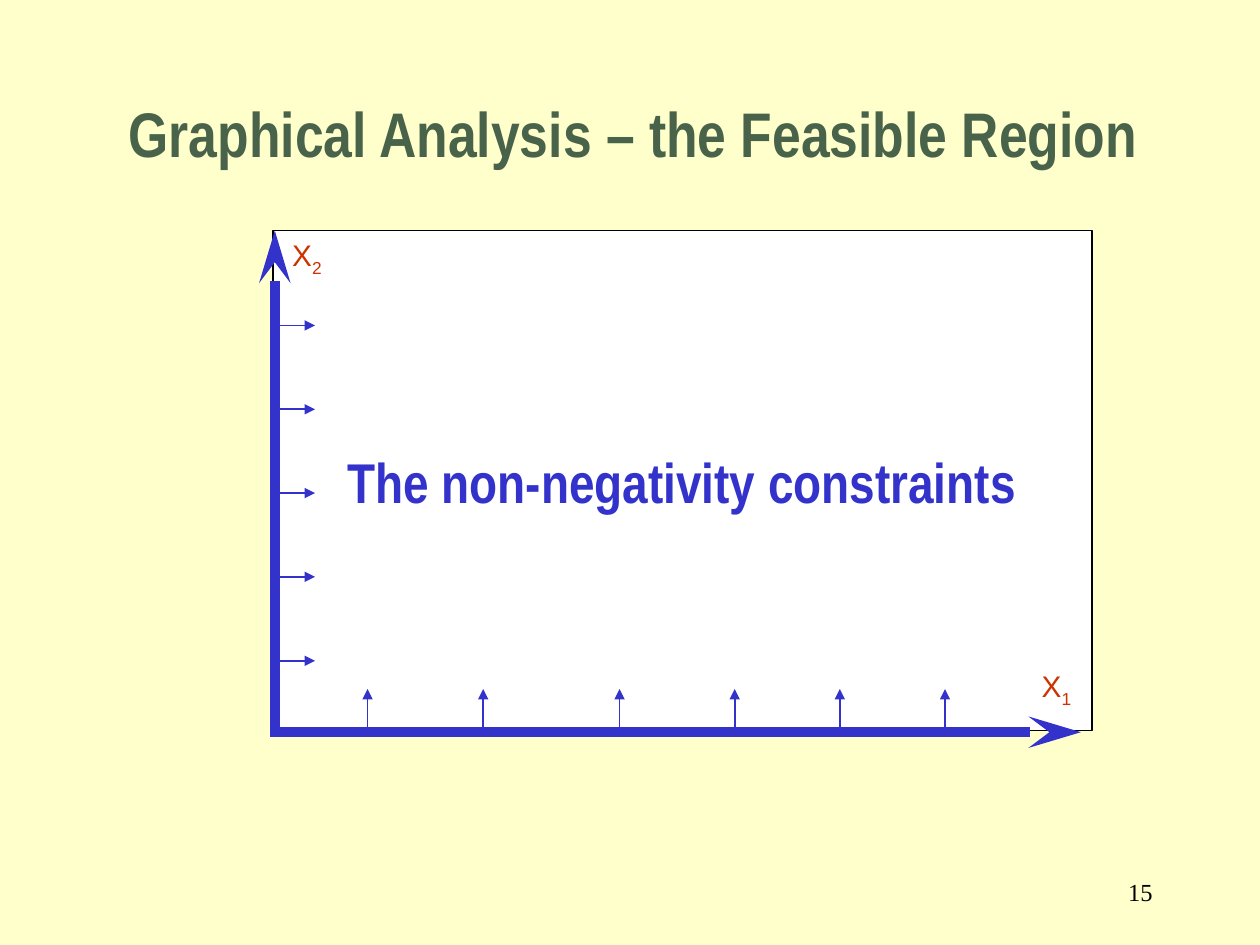
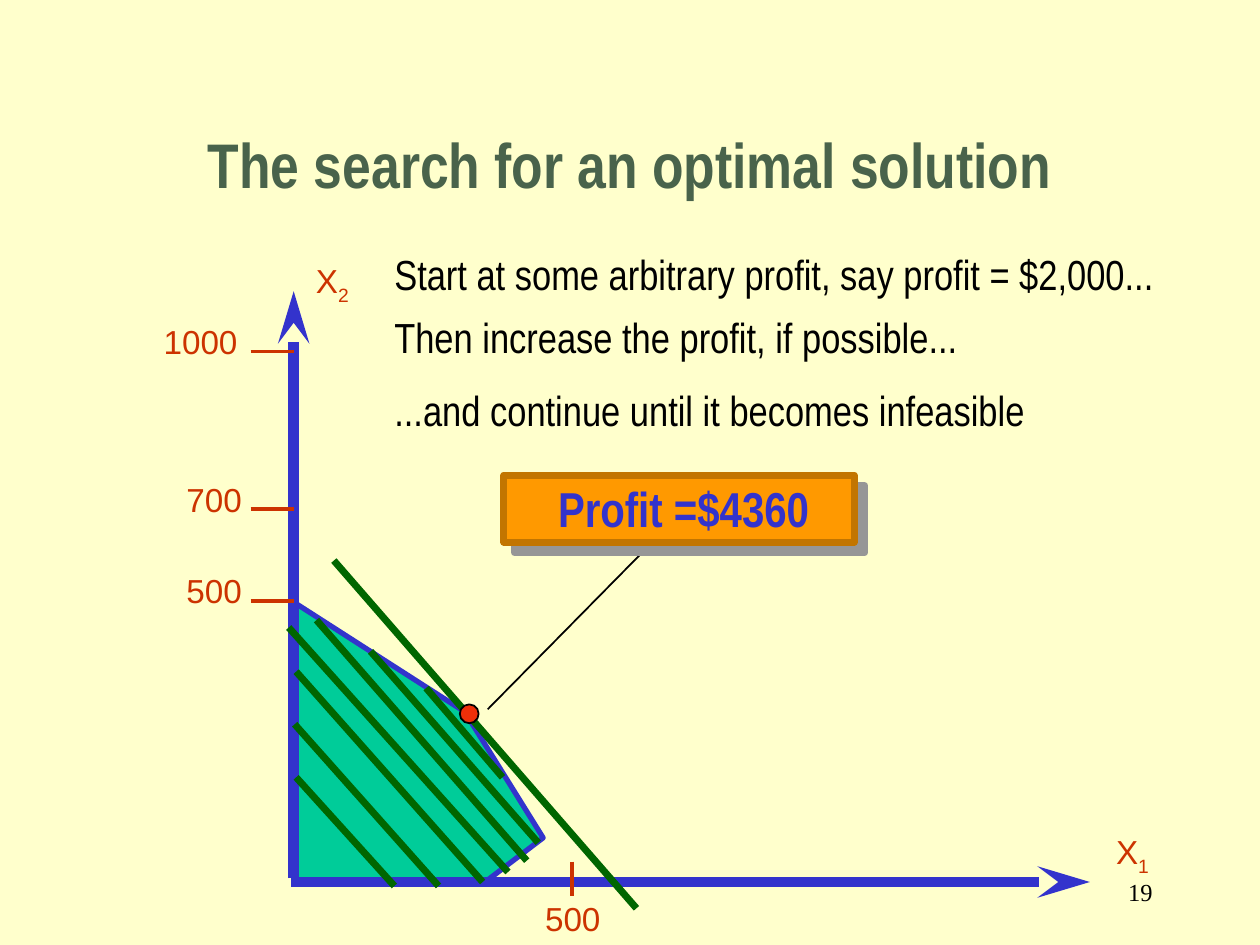
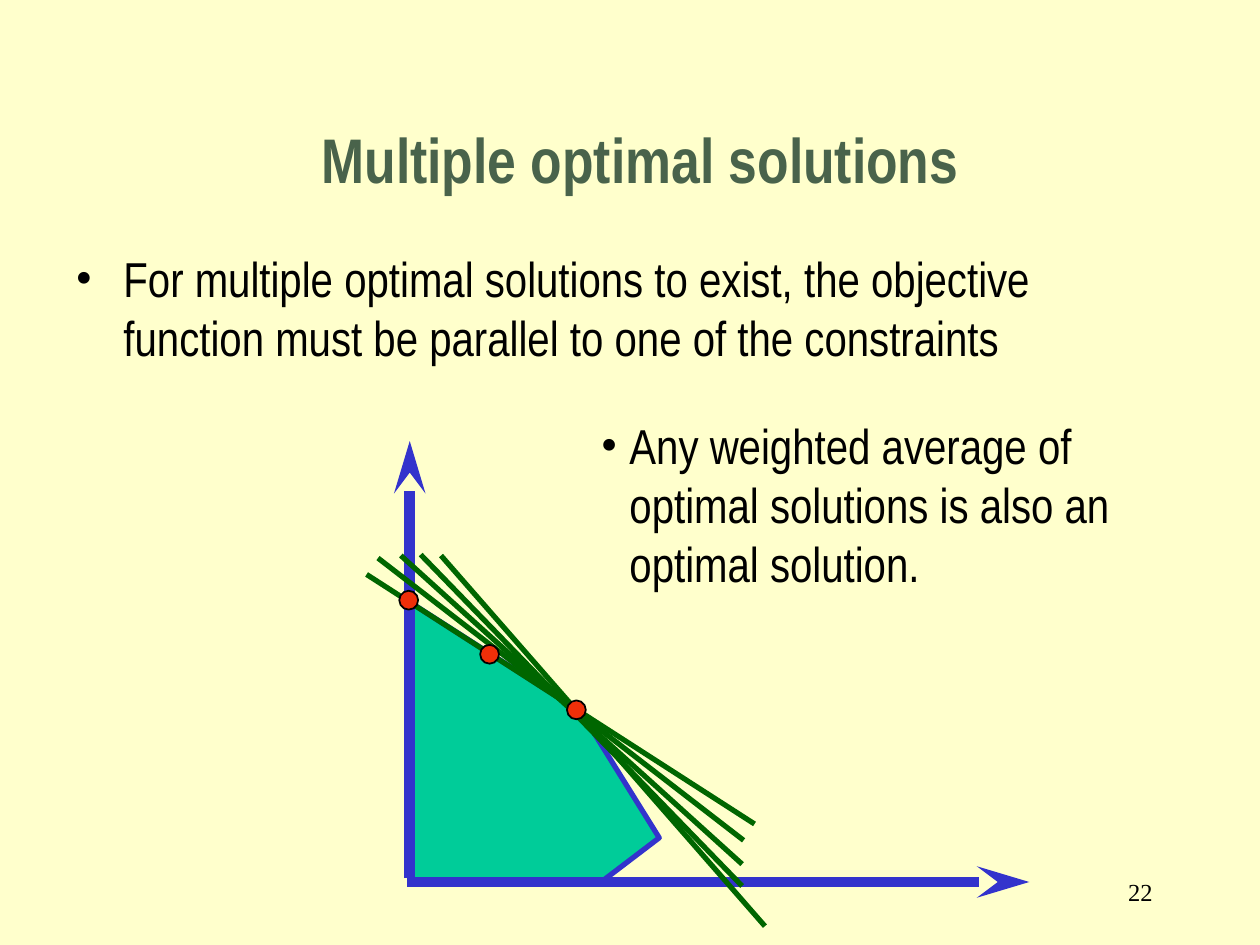
from lxml import etree
from pptx import Presentation
from pptx.dml.color import RGBColor
from pptx.enum.shapes import MSO_CONNECTOR, MSO_SHAPE
from pptx.enum.text import MSO_ANCHOR, MSO_AUTO_SIZE, PP_ALIGN
from pptx.oxml.ns import qn
from pptx.util import Cm, Pt

STRAIGHT = MSO_CONNECTOR.STRAIGHT
RECTANGLE, OVAL = MSO_SHAPE.RECTANGLE, MSO_SHAPE.OVAL
MIDDLE, FIXED = MSO_ANCHOR.MIDDLE, MSO_AUTO_SIZE.NONE
LEFT, CENTER, RIGHT = PP_ALIGN.LEFT, PP_ALIGN.CENTER, PP_ALIGN.RIGHT

rgb = RGBColor.from_string
CREAM, WHITE, BLACK = "FFFFCC", "FFFFFF", "000000"
TITLE_GREEN, AXIS_BLUE, LABEL_RED = "49634B", "3333CC", "CC3300"
REGION_GREEN, PROFIT_GREEN, OPTIMUM_RED = "00CC99", "006600", "EF2F09"
CALLOUT_ORANGE, CALLOUT_EDGE, SHADOW_GREY = "FF9900", "C27500", "969696"


def draw_line(slide, x1, y1, x2, y2, colour, width, arrow=None, arrow_length="med"):
    line = slide.shapes.add_connector(STRAIGHT, Cm(x1), Cm(y1), Cm(x2), Cm(y2))
    line.line.color.rgb = rgb(colour)
    line.line.width = Pt(width)
    if arrow:
        etree.SubElement(line.line._get_or_add_ln(), qn("a:tailEnd"),
                         type=arrow, w="med", len=arrow_length)
    etree.SubElement(line._element.spPr, qn("a:effectLst"))


def write(frame, text, size, colour, font="Arial Narrow", bold=False,
          align=LEFT, wrap=False, subscript=""):
    frame.word_wrap = wrap
    frame.auto_size = FIXED
    paragraph = frame.paragraphs[0]
    paragraph.alignment = align
    for part in filter(None, (text, subscript)):
        run = paragraph.add_run()
        run.text = part
        run.font.size = Pt(size)
        run.font.name = font
        run.font.bold = bold
        run.font.color.rgb = rgb(colour)
    if subscript:
        run._r.get_or_add_rPr().set("baseline", "-25000")
    return paragraph


prs = Presentation()
prs.slide_width, prs.slide_height = Cm(25.4), Cm(19.05)
background = prs.slide_master.background.fill
background.solid()
background.fore_color.rgb = rgb(CREAM)

slides = []
for heading, left, top, width, height, align, number in (
    ("Graphical Analysis – the Feasible Region", 2.34, 1.07, 21.79, 3.18, LEFT, "15"),
    ("The search for an optimal solution", 1.9, 1.7, 21.59, 3.18, CENTER, "19"),
    ("Multiple optimal solutions", 0.84, 2.34, 24.13, 1.7, CENTER, "22"),
):
    slide = prs.slides.add_slide(prs.slide_layouts[5])
    title = slide.shapes.title
    title.left, title.top, title.width, title.height = Cm(left), Cm(top), Cm(width), Cm(height)
    title.text_frame.vertical_anchor = MIDDLE
    write(title.text_frame, heading, 36, TITLE_GREEN, bold=True, align=align, wrap=True)
    page = slide.shapes.add_textbox(Cm(18.21), Cm(17.35), Cm(5.28), Cm(1.27)).text_frame
    page.vertical_anchor = MIDDLE
    write(page, number, 14, BLACK, "Times New Roman", align=RIGHT, wrap=True)
    slides.append(slide)
constraints, search, multiple = slides

quadrant = constraints.shapes.add_shape(RECTANGLE, Cm(5.5), Cm(4.65), Cm(16.51), Cm(10.08))
quadrant.shadow.inherit = False
quadrant.fill.solid()
quadrant.fill.fore_color.rgb = rgb(WHITE)
quadrant.line.color.rgb = rgb(BLACK)
quadrant.line.width = Pt(1)
quadrant.text_frame.vertical_anchor = MIDDLE
write(quadrant.text_frame, "The non-negativity constraints", 32, AXIS_BLUE,
      bold=True, align=CENTER)
draw_line(constraints, 5.44, 14.76, 21.79, 14.76, AXIS_BLUE, 6, "stealth", "lg")
draw_line(constraints, 5.54, 14.68, 5.54, 4.65, AXIS_BLUE, 6, "stealth", "lg")
for step in range(5):
    y = 6.56 + 1.69 * step
    draw_line(constraints, 5.5, y, 6.35, y, AXIS_BLUE, 1, "triangle")
for x in (7.41, 9.74, 12.49, 14.81, 16.93, 19.05):
    draw_line(constraints, x, 14.76, x, 13.89, AXIS_BLUE, 1, "triangle")

search_profits = (
    (5.97, 15.67, 7.95, 17.86), (5.94, 14.6, 8.84, 17.86),
    (5.97, 13.54, 9.73, 17.78), (5.82, 12.65, 10.24, 17.58),
    (6.38, 12.5, 10.62, 17.35), (7.47, 13.13, 10.85, 16.99),
    (8.59, 13.87, 10.13, 15.67), (6.73, 11.3, 12.83, 18.31),
)
rotated_profits = (
    (8.89, 11.2, 15.42, 18.67), (8.48, 11.18, 14.96, 17.86),
    (8.08, 11.2, 14.96, 17.42), (7.62, 11.25, 14.99, 16.94),
    (7.39, 11.58, 15.21, 16.61),
)
region_corners = ((0, 17.68), (0.05, 12.17), (3.45, 14.35), (5.03, 16.89), (3.86, 17.78))

for slide, origin, axis_top, axis_end, profits, profit_width, optima in (
    (search, 5.92, 5.87, 21.97, search_profits, 4, ((9.27, 14.2),)),
    (multiple, 8.26, 8.89, 20.75, rotated_profits, 3,
     ((9.68, 13), (8.05, 11.91), (11.43, 14.12))),
):
    corners = [(Cm(origin + x), Cm(y)) for x, y in region_corners]
    outline = slide.shapes.build_freeform(*corners[0])
    outline.add_line_segments(corners[1:], close=False)
    region = outline.convert_to_shape()
    region.shadow.inherit = False
    region.fill.solid()
    region.fill.fore_color.rgb = rgb(REGION_GREEN)
    region.line.color.rgb = rgb(AXIS_BLUE)
    region.line.width = Pt(3)
    draw_line(slide, origin, 17.7, origin, axis_top, AXIS_BLUE, 6, "stealth", "lg")
    draw_line(slide, origin - 0.05, 17.78, axis_end, 17.78, AXIS_BLUE, 6, "stealth", "lg")
    for profit in profits:
        draw_line(slide, *profit, PROFIT_GREEN, profit_width)
    for left, top in optima:
        optimum = slide.shapes.add_shape(OVAL, Cm(left), Cm(top), Cm(0.38), Cm(0.38))
        optimum.shadow.inherit = False
        optimum.fill.solid()
        optimum.fill.fore_color.rgb = rgb(OPTIMUM_RED)
        optimum.line.color.rgb = rgb(BLACK)
        optimum.line.width = Pt(1)

for slide, left, top, index, size, side in (
    (constraints, 5.64, 4.65, "2", 17, 1.12),
    (constraints, 20.75, 13.34, "1", 17, 1.12),
    (search, 6.12, 5.13, "2", 19, 1.17),
    (search, 22.25, 16.64, "1", 19, 1.17),
):
    axis_name = slide.shapes.add_textbox(Cm(left), Cm(top), Cm(side), Cm(side))
    write(axis_name.text_frame, "X", size, LABEL_RED, "Arial", subscript=index)

for sentence, top, width in (
    ("Start at some arbitrary profit, say profit = $2,000...", 4.88, 15.82),
    ("Then increase the profit, if possible...", 6.15, 11.86),
    ("...and continue until it becomes infeasible", 7.62, 13.21),
):
    step_text = search.shapes.add_textbox(Cm(7.7), Cm(top), Cm(width), Cm(1.27))
    write(step_text.text_frame, sentence, 24, BLACK)

draw_line(search, 9.83, 14.3, 13.23, 10.85, BLACK, 1)
callout = search.shapes.add_shape(RECTANGLE, Cm(10.16), Cm(9.58), Cm(7.06), Cm(1.35))
callout.shadow.inherit = False
callout.fill.solid()
callout.fill.fore_color.rgb = rgb(CALLOUT_ORANGE)
callout.line.color.rgb = rgb(CALLOUT_EDGE)
callout.line.width = Pt(4)
shadow = etree.SubElement(callout._element.spPr.find(qn("a:effectLst")), qn("a:outerShdw"),
                          dist=str(Pt(8.5)), dir="2700000", algn="ctr", rotWithShape="0")
etree.SubElement(shadow, qn("a:srgbClr"), val=SHADOW_GREY)
best_profit = search.shapes.add_textbox(Cm(11), Cm(9.53), Cm(5.92), Cm(1.45))
write(best_profit.text_frame, "Profit =$4360", 28, AXIS_BLUE, bold=True, wrap=True)

for y in (7.09, 10.26, 12.12):
    draw_line(search, 5.05, y, 5.92, y, LABEL_RED, 2)
draw_line(search, 11.53, 17.37, 11.53, 18.06, LABEL_RED, 2)
for value, left, top, width in (
    ("1000", 3.05, 6.35, 2.01),
    ("700", 3.51, 9.53, 1.63),
    ("500", 3.51, 11.38, 1.63),
    ("500", 10.74, 17.98, 1.63),
):
    tick_value = search.shapes.add_textbox(Cm(left), Cm(top), Cm(width), Cm(1.07))
    write(tick_value.text_frame, value, 19, LABEL_RED, "Arial")

for statement, left, top, width, height, indent in (
    ("For multiple optimal solutions to exist, the objective function must be "
     "parallel to one of the constraints", 1.27, 4.88, 22.02, 5.28, 0.97),
    ("Any weighted average of optimal solutions is also an optimal solution.",
     11.86, 8.26, 12.12, 5, 0.58),
):
    body = multiple.shapes.add_textbox(Cm(left), Cm(top), Cm(width), Cm(height))
    paragraph = write(body.text_frame, statement, 28, BLACK, wrap=True)
    paragraph.space_before = Pt(7)
    properties = paragraph._p.get_or_add_pPr()
    properties.set("marL", str(Cm(indent)))
    properties.set("indent", str(-Cm(indent)))
    etree.SubElement(properties, qn("a:buFont"), typeface="Times New Roman")
    etree.SubElement(properties, qn("a:buChar"), char="•")

prs.save("out.pptx")
